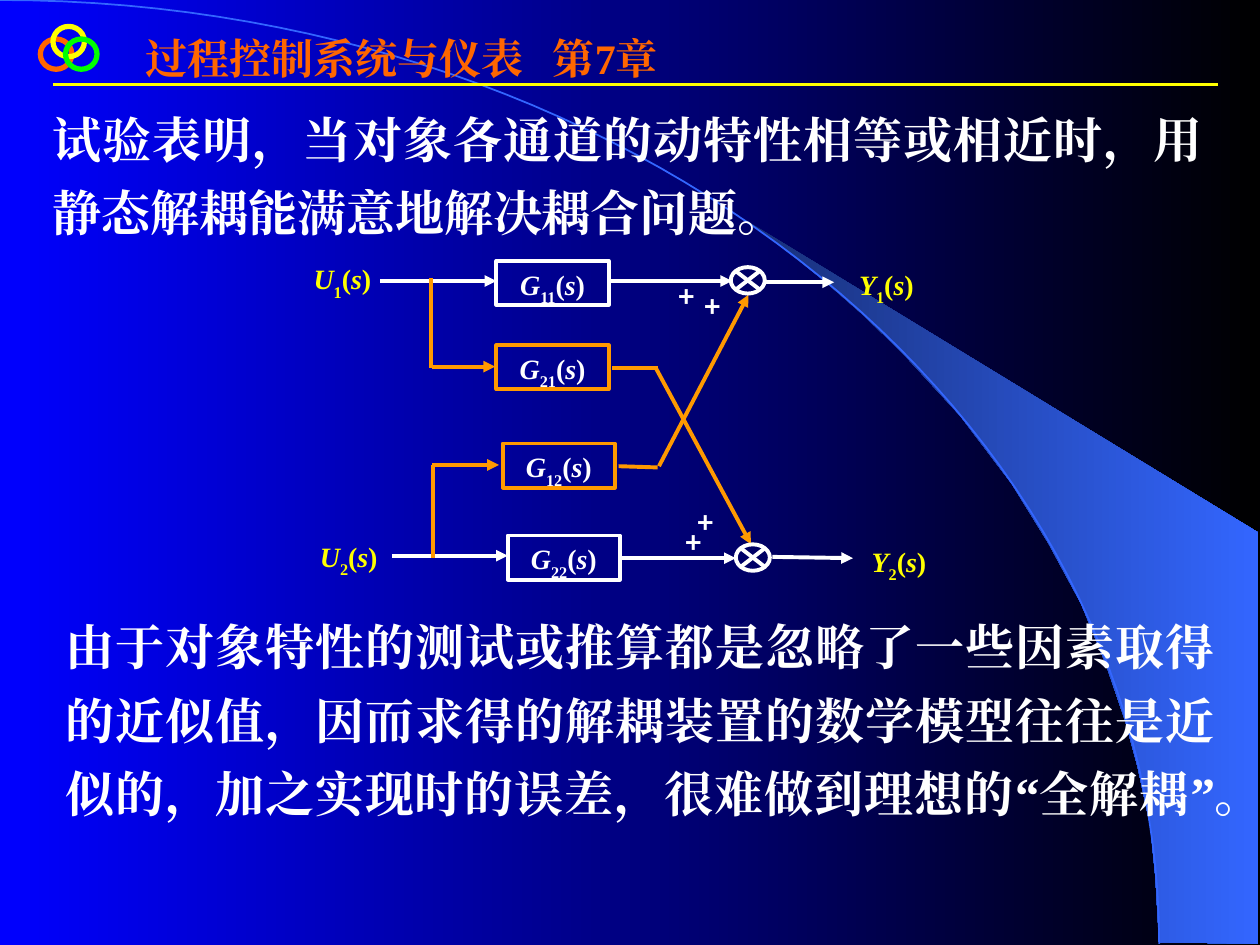
from typing import NamedTuple

from lxml import etree
from pptx import Presentation
from pptx import util as u
from pptx.dml.color import RGBColor
from pptx.enum import shapes, text
from pptx.oxml import ns

WHITE = RGBColor(0xFF, 0xFF, 0xFF)
BLACK = RGBColor(0x00, 0x00, 0x00)
BLUE = RGBColor(0x00, 0x00, 0xFF)
NAVY = RGBColor(0x18, 0x2F, 0x76)
SKY = RGBColor(0x33, 0x66, 0xFF)
YELLOW = RGBColor(0xFF, 0xFF, 0x00)
GREEN = RGBColor(0x00, 0xFF, 0x00)
ORANGE = RGBColor(0xFF, 0x66, 0x00)
AMBER = RGBColor(0xFF, 0x99, 0x00)
SERIF = "Times New Roman"
SANS = "Noto Sans CJK SC"
KIND = shapes.MSO_SHAPE


class Run(NamedTuple):
    text: str
    slant: bool = False
    sub: bool = False


class Block(NamedTuple):
    sub: str
    left: float
    top: float
    color: RGBColor


class Label(NamedTuple):
    base: str
    sub: str
    left: float
    top: float


class Wire(NamedTuple):
    x1: float
    y1: float
    x2: float
    y2: float
    color: RGBColor = WHITE
    arrow: bool = True


def blend(fill, first: RGBColor, last: RGBColor) -> None:
    """Fill from left to right with two colours."""
    fill.gradient()
    fill.gradient_angle = 0
    for stop, color in zip(fill.gradient_stops, (first, last)):
        stop.color.rgb = color


def write(frame, *runs: Run, size=16, color=WHITE, face=SERIF,
          align=text.PP_ALIGN.LEFT, spacing=None, tab=None) -> None:
    """Set one bold paragraph made of runs."""
    frame.word_wrap = True
    frame.vertical_anchor = text.MSO_ANCHOR.TOP
    para = frame.paragraphs[0]
    para.alignment = align
    if spacing:
        para.line_spacing = spacing
    if tab:
        stops = etree.SubElement(para._p.get_or_add_pPr(), ns.qn("a:tabLst"))
        etree.SubElement(stops, ns.qn("a:tab"), pos=str(u.Inches(tab)), algn="l")
    for part in runs:
        run = para.add_run()
        run.text = part.text
        font = run.font
        font.name, font.size, font.bold = face, u.Pt(size), True
        font.italic = part.slant
        font.color.rgb = color
        props = run._r.get_or_add_rPr()
        if part.sub:
            props.set("baseline", "-30000")
        etree.SubElement(props, ns.qn("a:ea"), typeface=face)


def term(base: str, sub: str) -> list[Run]:
    """Runs of a transfer term such as G11(s)."""
    return [Run(base, True), Run(sub, sub=True), Run("("), Run("s", True), Run(")")]


def add_text(slide, left: float, top: float, width: float, height: float,
             *runs: Run, **style) -> None:
    box = slide.shapes.add_textbox(*map(u.Inches, (left, top, width, height)))
    write(box.text_frame, *runs, **style)


def add_frame(slide, kind, left: float, top: float, width: float, height: float,
              color: RGBColor, weight: float = 2.25):
    """Add an outlined shape with no fill."""
    shape = slide.shapes.add_shape(kind, *map(u.Inches, (left, top, width, height)))
    shape.shadow.inherit = False
    shape.fill.background()
    shape.line.color.rgb = color
    shape.line.width = u.Pt(weight)
    return shape


def add_wire(slide, wire: Wire, weight: float = 2.25) -> None:
    line = slide.shapes.add_connector(
        shapes.MSO_CONNECTOR.STRAIGHT, *map(u.Inches, wire[:4]))
    line.line.color.rgb = wire.color
    line.line.width = u.Pt(weight)
    if wire.arrow:
        etree.SubElement(line.line._get_or_add_ln(), ns.qn("a:tailEnd"), type="triangle")
    etree.SubElement(line._element.spPr, ns.qn("a:effectLst"))


def add_path(slide, points, close: bool):
    spots = [(u.Inches(x), u.Inches(y)) for x, y in points]
    maker = slide.shapes.build_freeform(*spots[0])
    maker.add_line_segments(spots[1:], close=close)
    shape = maker.convert_to_shape()
    shape.shadow.inherit = False
    return shape


def curve(start, pull, push, end, steps: int = 60):
    """Points along a cubic curve."""
    for step in range(steps + 1):
        t = step / steps
        parts = ((1 - t) ** 3, 3 * t * (1 - t) ** 2, 3 * t * t * (1 - t), t ** 3)
        yield tuple(sum(p * c for p, c in zip(parts, axis))
                    for axis in zip(start, pull, push, end))


BEAM = [(9.2, 7.48), (9.99, 7.49), (9.99, 4.23), (5.89, 1.73), (6.24, 1.99),
        (6.53, 2.22), (6.85, 2.5), (7.16, 2.8), (7.62, 3.3), (8.03, 3.84),
        (8.32, 4.31), (8.58, 4.79), (8.78, 5.28), (8.93, 5.72), (9.03, 6.09),
        (9.13, 6.56), (9.17, 6.96)]
RINGS = [(0.32, 0.31, ORANGE), (0.42, 0.21, YELLOW), (0.52, 0.31, GREEN)]
BODY = [
    (0.32, 0.7, 1.22, "试验表明，当对象各通道的动特性相等或相近时，用静态解耦能满意地解决耦合问题。"),
    (0.42, 4.73, 2.34, "由于对象特性的测试或推算都是忽略了一些因素取得的近似值，因而求得的解耦装置的"
                       "数学模型往往是近似的，加之实现时的误差，很难做到理想的“全解耦”。"),
]
BLOCKS = [Block("11", 3.94, 2.07, WHITE), Block("21", 3.94, 2.74, AMBER),
          Block("12", 3.99, 3.52, AMBER), Block("22", 4.03, 4.25, WHITE)]
LABELS = [Label("U", "1", 2.39, 2.03), Label("Y", "1", 6.72, 2.07),
          Label("U", "2", 2.44, 4.23), Label("Y", "2", 6.82, 4.27)]
WIRES = [
    # Direct channels
    Wire(3.02, 2.23, 3.94, 2.23), Wire(4.85, 2.23, 5.81, 2.23),
    Wire(6.07, 2.24, 6.62, 2.24), Wire(3.11, 4.41, 4.03, 4.41),
    Wire(4.92, 4.43, 5.84, 4.43), Wire(6.13, 4.42, 6.77, 4.43),
    # Cross channels
    Wire(3.42, 2.21, 3.42, 2.92, AMBER, False), Wire(3.43, 2.91, 3.93, 2.91, AMBER),
    Wire(4.86, 2.92, 5.22, 2.92, AMBER, False), Wire(5.21, 2.93, 5.96, 4.32, AMBER),
    Wire(3.44, 3.69, 3.44, 4.43, AMBER, False), Wire(3.43, 3.69, 3.96, 3.69, AMBER),
    Wire(4.91, 3.7, 5.22, 3.71, AMBER, False), Wire(5.23, 3.7, 5.94, 2.34, AMBER),
]
SUMS = [(5.8, 2.12), (5.84, 4.32)]
SIGNS = [(5.29, 2.17), (5.49, 2.25), (5.44, 3.96), (5.34, 4.12)]


def main() -> None:
    deck = Presentation()
    deck.slide_width, deck.slide_height = u.Inches(10), u.Inches(7.5)
    slide = deck.slides.add_slide(deck.slide_layouts[6])

    # Backdrop
    blend(slide.background.fill, BLUE, BLACK)
    beam = add_path(slide, BEAM, True)
    blend(beam.fill, NAVY, SKY)
    beam.line.fill.background()
    arc = add_path(slide, curve((0, 0), (5.08, 0), (9.2, 3.35), (9.2, 7.49)), False)
    arc.fill.background()
    arc.line.color.rgb = SKY
    arc.line.width = u.Pt(1)

    # Header
    add_wire(slide, Wire(0.42, 0.67, 9.67, 0.67, YELLOW, False), 1.5)
    add_text(slide, 1.06, 0.21, 4.49, 0.9, Run("过程控制系统与仪表\t第7章"),
             size=24, color=ORANGE, tab=3.23)
    for left, top, color in RINGS:
        add_frame(slide, KIND.OVAL, left, top, 0.25, 0.24, color, 3)

    # Body
    for left, top, height, words in BODY:
        add_text(slide, left, top, 9.33, height, Run(words), size=28,
                 align=text.PP_ALIGN.JUSTIFY, spacing=1.25)

    # Block diagram
    for wire in WIRES:
        add_wire(slide, wire)
    for block in BLOCKS:
        shape = add_frame(slide, KIND.RECTANGLE, block.left, block.top, 0.89, 0.35,
                          block.color)
        write(shape.text_frame, *term("G", block.sub), align=text.PP_ALIGN.CENTER)
    for left, top in SUMS:
        add_frame(slide, KIND.FLOWCHART_SUMMING_JUNCTION, left, top, 0.27, 0.21, WHITE)
    for label in LABELS:
        add_text(slide, label.left, label.top, 0.7, 0.42,
                 *term(label.base, label.sub), color=YELLOW)
    for left, top in SIGNS:
        add_text(slide, left, top, 0.44, 0.33, Run("+"), face=SANS)

    deck.save("out.pptx")


if __name__ == "__main__":
    main()
